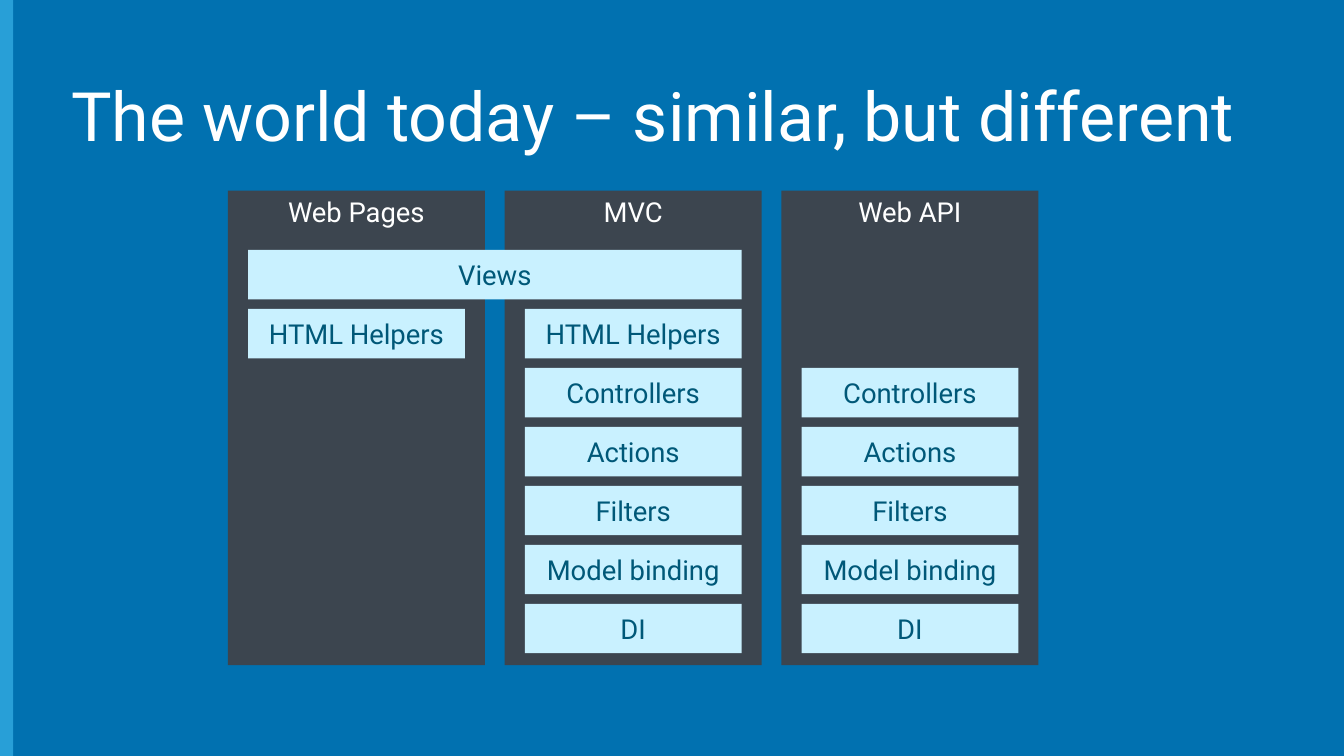
from dataclasses import dataclass

from pptx import Presentation
from pptx.dml.color import RGBColor
from pptx.enum.shapes import MSO_SHAPE as Preset
from pptx.enum.text import MSO_ANCHOR as Anchor, PP_ALIGN as Align
from pptx.shapes.autoshape import Shape
from pptx.slide import Slide
from pptx.util import Inches, Pt

COLORS = {
    "background": "0171B0",
    "stripe": "289FD7",
    "panel": "3C454F",
    "feature": "C9F1FF",
    "feature_text": "005878",
    "white": "FFFFFF",
}
FONT = "Roboto"

PANEL_LEFT, PANEL_TOP, PANEL_WIDTH, PANEL_HEIGHT = 2.26, 1.89, 2.55, 4.71
PANEL_PITCH = (7.75 - PANEL_LEFT) / 2
FEATURE_INSET, FEATURE_WIDTH, FEATURE_HEIGHT = 0.2, 2.15, 0.49
FEATURE_TOP = 2.48
FEATURE_PITCH = (5.99 - FEATURE_TOP) / 6


@dataclass(frozen=True)
class Feature:
    name: str
    row: int
    columns: tuple[int, ...]
    span: int = 1


FRAMEWORKS = ("Web Pages", "MVC", "Web API")
FEATURES = (
    Feature("Views", 0, (0,), span=2),
    Feature("HTML Helpers", 1, (0, 1)),
    Feature("Controllers", 2, (1, 2)),
    Feature("Actions", 3, (1, 2)),
    Feature("Filters", 4, (1, 2)),
    Feature("Model binding", 5, (1, 2)),
    Feature("DI", 6, (1, 2)),
)


def write(shape: Shape, text: str, *, size: float = 19.6, color: str = "white",
          align: Align = Align.CENTER, anchor: Anchor = Anchor.MIDDLE,
          side_inset: float = 0, line_spacing: float = 1.0) -> None:
    frame = shape.text_frame
    frame.word_wrap = True
    frame.vertical_anchor = anchor
    frame.margin_left = frame.margin_right = Inches(side_inset)
    frame.margin_top = frame.margin_bottom = Inches(0.05)
    paragraph = frame.paragraphs[0]
    paragraph.alignment = align
    paragraph.line_spacing = line_spacing
    run = paragraph.add_run()
    run.text = text
    run.font.name = FONT
    run.font.size = Pt(size)
    run.font.color.rgb = RGBColor.from_string(COLORS[color])


def add_block(slide: Slide, left: float, top: float, width: float,
              height: float, fill: str) -> Shape:
    block = slide.shapes.add_shape(
        Preset.RECTANGLE, Inches(left), Inches(top), Inches(width), Inches(height))
    block.shadow.inherit = False
    block.fill.solid()
    block.fill.fore_color.rgb = RGBColor.from_string(COLORS[fill])
    block.line.fill.background()
    return block


def add_title(slide: Slide, text: str) -> None:
    title = slide.shapes.add_textbox(
        Inches(0.61), Inches(0.46), Inches(12.12), Inches(1.45))
    write(title, text, size=48.6, align=Align.LEFT, side_inset=0.1, line_spacing=0.9)


def add_framework(slide: Slide, column: int, name: str) -> None:
    panel = add_block(slide, PANEL_LEFT + column * PANEL_PITCH, PANEL_TOP,
                      PANEL_WIDTH, PANEL_HEIGHT, "panel")
    write(panel, name, anchor=Anchor.TOP)


def add_feature(slide: Slide, feature: Feature) -> None:
    top = FEATURE_TOP + feature.row * FEATURE_PITCH
    width = FEATURE_WIDTH + (feature.span - 1) * PANEL_PITCH
    for column in feature.columns:
        left = PANEL_LEFT + FEATURE_INSET + column * PANEL_PITCH
        bar = add_block(slide, left, top, width, FEATURE_HEIGHT, "feature")
        write(bar, feature.name, color="feature_text")


def main() -> None:
    deck = Presentation()
    deck.slide_width, deck.slide_height = Inches(13.33), Inches(7.5)
    slide = deck.slides.add_slide(deck.slide_layouts[6])
    slide.background.fill.solid()
    slide.background.fill.fore_color.rgb = RGBColor.from_string(COLORS["background"])

    add_block(slide, 0, 0, 0.13, 7.5, "stripe")
    add_title(slide, "The world today – similar, but different")
    for column, name in enumerate(FRAMEWORKS):
        add_framework(slide, column, name)
    for feature in FEATURES:
        add_feature(slide, feature)

    deck.save("out.pptx")


if __name__ == "__main__":
    main()
